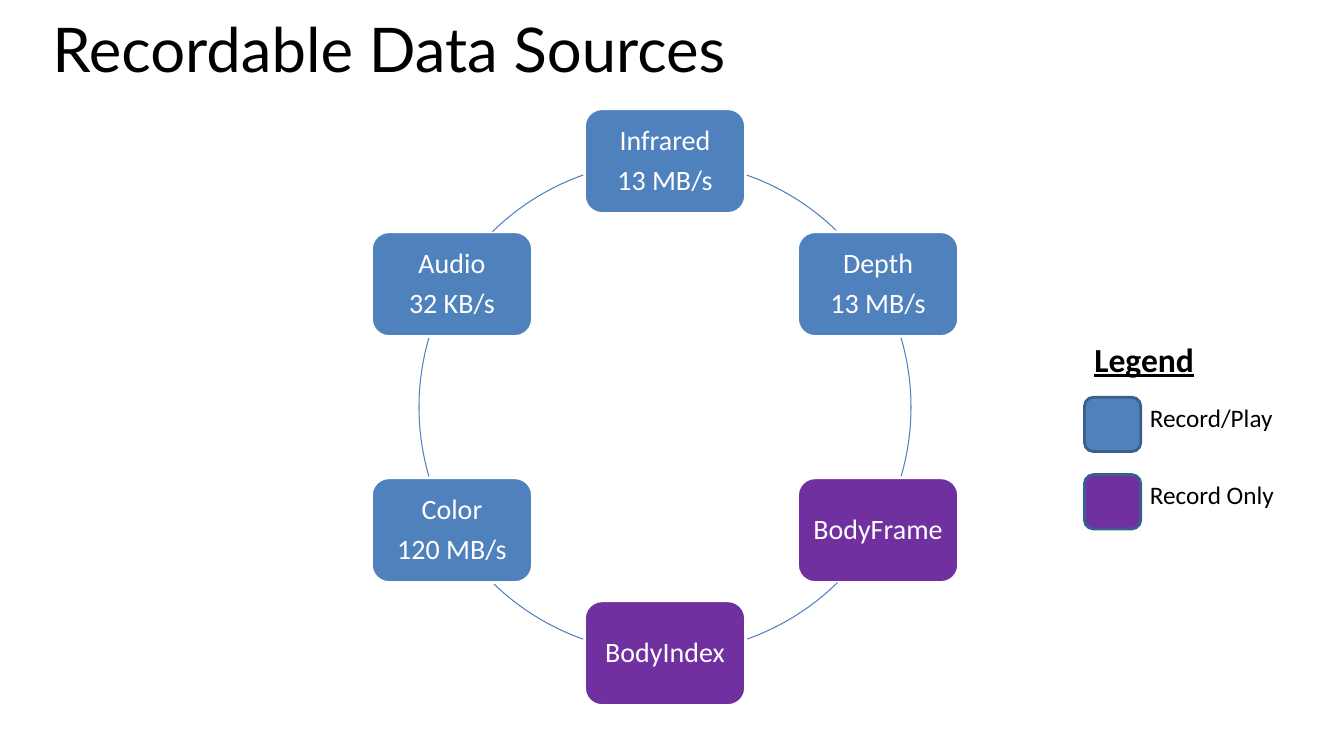
from math import cos, radians, sin
from pptx import Presentation
from pptx.dml.color import RGBColor
from pptx.enum.shapes import MSO_SHAPE
from pptx.enum.text import MSO_ANCHOR, PP_ALIGN
from pptx.util import Cm, Pt

COLORS = {
    "play": "4F81BD",
    "record": "7030A0",
    "edge": "3A5F8C",
    "white": "FFFFFF",
    "black": "000000",
}

deck = Presentation()
deck.slide_width = Cm(33.87)
deck.slide_height = Cm(19.05)
page = deck.slides.add_slide(deck.slide_layouts[6])


def add_card(left, top, width, height, fill, line):
    card = page.shapes.add_shape(
        MSO_SHAPE.ROUNDED_RECTANGLE, Cm(left), Cm(top), Cm(width), Cm(height))
    card.shadow.inherit = False
    card.fill.solid()
    card.fill.fore_color.rgb = RGBColor.from_string(COLORS[fill])
    card.line.color.rgb = RGBColor.from_string(COLORS[line])
    card.line.width = Pt(2)
    return card


def add_label(left, top, width, height, text, size, font="Calibri"):
    box = page.shapes.add_textbox(Cm(left), Cm(top), Cm(width), Cm(height))
    box.text_frame.word_wrap = True
    para = box.text_frame.paragraphs[0]
    span = para.add_run()
    span.text = text
    span.font.name = font
    span.font.size = Pt(size)
    span.font.color.rgb = RGBColor.from_string(COLORS["black"])
    return para, span


title, _ = add_label(1.07, 0.51, 32, 2.95, "Recordable Data Sources", 44, "Lato")
title.line_spacing = 0.8

center_x, center_y, radius = 16.76, 10.26, 6.2
card_width, card_height = 4.06, 2.64
sources = [
    (["Infrared", "13 MB/s"], "play"),
    (["Depth", "13 MB/s"], "play"),
    (["BodyFrame"], "record"),
    (["BodyIndex"], "record"),
    (["Color", "120 MB/s"], "play"),
    (["Audio", "32 KB/s"], "play"),
]
arc_angles = [(289.4, 314.5), (343.6, 16.4), (45.5, 70.6),
              (109.4, 134.5), (163.6, 196.4), (225.5, 250.6)]

for index, ((lines, kind), arc_ends) in enumerate(zip(sources, arc_angles)):
    angle = radians(60 * index - 90)
    card = add_card(center_x + radius * cos(angle) - card_width / 2,
                    center_y + radius * sin(angle) - card_height / 2,
                    card_width, card_height, kind, "white")
    frame = card.text_frame
    frame.word_wrap = True
    frame.vertical_anchor = MSO_ANCHOR.MIDDLE
    frame.margin_left = frame.margin_right = Cm(0.2)
    frame.margin_top = frame.margin_bottom = Cm(0.2)
    for number, line in enumerate(lines):
        para = frame.add_paragraph() if number else frame.paragraphs[0]
        para.alignment = PP_ALIGN.CENTER
        para.line_spacing = 0.9
        para.space_after = Pt(7)
        span = para.add_run()
        span.text = line
        span.font.name = "Calibri"
        span.font.size = Pt(20)
        span.font.color.rgb = RGBColor.from_string(COLORS["white"])

    arc = page.shapes.add_shape(
        MSO_SHAPE.ARC, Cm(center_x - radius), Cm(center_y - radius),
        Cm(2 * radius), Cm(2 * radius))
    arc.shadow.inherit = False
    arc.fill.background()
    arc.line.color.rgb = RGBColor.from_string(COLORS["play"])
    arc.line.width = Pt(0.75)
    for position, degrees in enumerate(arc_ends):
        arc.adjustments[position] = degrees * 0.6

legend_left = 27.33
_, heading = add_label(legend_left, 8.41, 5.74, 1.27, "Legend", 24)
heading.font.bold = True
heading.font.underline = True
for row, (kind, text) in enumerate([("play", "Record/Play"), ("record", "Record Only")]):
    top = 10.01 + 1.95 * row
    add_card(legend_left, top, 1.42, 1.37, kind, "edge")
    add_label(legend_left + 1.4, top, 5.74, 1.02, text, 18)

deck.save("out.pptx")
